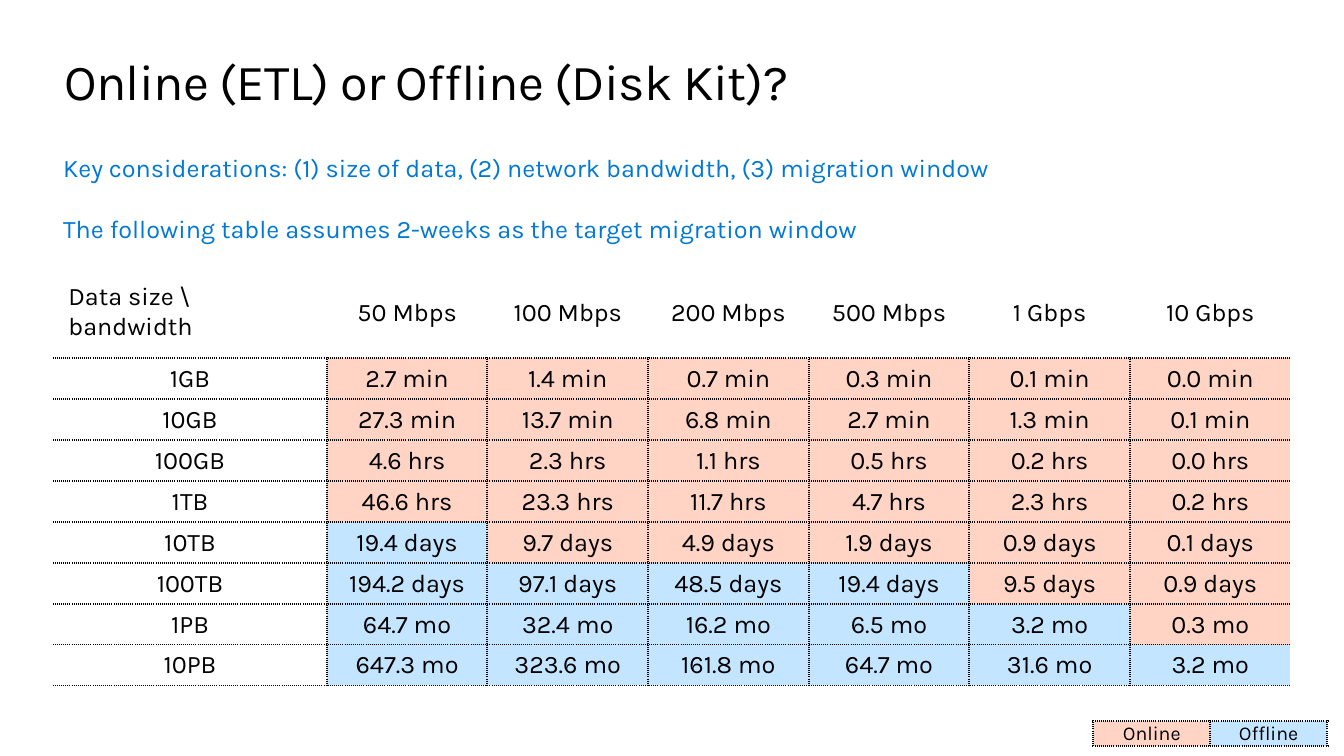
from dataclasses import dataclass
from lxml import etree
from pptx import Presentation
from pptx.dml.color import RGBColor as Rgb
from pptx.enum.text import MSO_ANCHOR as Anchor, PP_ALIGN as Align
from pptx.oxml.ns import qn
from pptx.util import Pt


@dataclass(frozen=True)
class Theme:
    font: str = "Karla"
    ink: str = "000000"
    paper: str = "FFFFFF"
    accent: str = "0078D4"
    online: str = "FFD4C5"
    offline: str = "C3E5FF"
    title: int = 36
    body: int = 18
    small: int = 14


THEME = Theme()
DOTS = (THEME.ink, 1.5, "sysDot")
PLAIN = (THEME.paper, 1, "solid")
SPEEDS = ["50 Mbps", "100 Mbps", "200 Mbps", "500 Mbps", "1 Gbps", "10 Gbps"]
TIMES = [
    ("1GB", "min", "2.7 1.4 0.7 0.3 0.1 0.0"),
    ("10GB", "min", "27.3 13.7 6.8 2.7 1.3 0.1"),
    ("100GB", "hrs", "4.6 2.3 1.1 0.5 0.2 0.0"),
    ("1TB", "hrs", "46.6 23.3 11.7 4.7 2.3 0.2"),
    ("10TB", "days", "19.4 9.7 4.9 1.9 0.9 0.1"),
    ("100TB", "days", "194.2 97.1 48.5 19.4 9.5 0.9"),
    ("1PB", "mo", "64.7 32.4 16.2 6.5 3.2 0.3"),
    ("10PB", "mo", "647.3 323.6 161.8 64.7 31.6 3.2"),
]
DAYS = {"min": 1 / 1440, "hrs": 1 / 24, "days": 1, "mo": 30}
WINDOW = 14


def write(frame, *lines, size=THEME.body, color=THEME.ink, align=Align.LEFT,
          gap=0, track=0):
    """Fill a text frame, one paragraph a line, with gap points between."""
    frame.word_wrap = True
    for i, line in enumerate(lines):
        para = frame.add_paragraph() if i else frame.paragraphs[0]
        para.alignment = align
        para.space_before = Pt(gap if i else 0)
        run = para.add_run()
        run.text = line
        run.font.name = THEME.font
        run.font.size = Pt(size)
        run.font.color.rgb = Rgb.from_string(color)
        if track:
            run.font._element.set("spc", str(int(track * 100)))


def label(slide, box, *lines, inset=(7.2, 3.6), **style):
    frame = slide.shapes.add_textbox(*map(Pt, box)).text_frame
    frame.margin_left = frame.margin_right = Pt(inset[0])
    frame.margin_top = frame.margin_bottom = Pt(inset[1])
    write(frame, *lines, **style)


def edge(cell, sides):
    """Draw cell borders from a dict of L, R, T, B to (colour, width, dash)."""
    props = cell._tc.get_or_add_tcPr()
    for side in "LRTB":
        color, width, dash = sides[side]
        line = etree.SubElement(props, qn(f"a:ln{side}"), w=str(Pt(width)))
        fill = etree.SubElement(line, qn("a:solidFill"))
        etree.SubElement(fill, qn("a:srgbClr"), val=color)
        etree.SubElement(line, qn("a:prstDash"), val=dash)


def fill_cell(cell, text, fill=None, sides="LRTB", pad=None, **style):
    """Format one cell; sides lists the dotted borders."""
    edge(cell, {s: DOTS if s in sides else PLAIN for s in "LRTB"})
    if fill:
        cell.fill.solid()
        cell.fill.fore_color.rgb = Rgb.from_string(fill)
    else:
        cell.fill.background()
    cell.margin_left = cell.margin_right = cell.margin_top = Pt(pad or 0.72)
    cell.margin_bottom = Pt(pad or 0)
    cell.vertical_anchor = Anchor.TOP if pad else Anchor.MIDDLE
    write(cell.text_frame, text, **{"align": Align.CENTER, **style})


def grid(slide, box, rows, widths):
    """Add a bare table with equal rows."""
    table = slide.shapes.add_table(rows, len(widths), *map(Pt, box)).table
    table.first_row = table.horz_banding = False
    for col, width in zip(table.columns, widths):
        col.width = Pt(width)
    for row in table.rows:
        row.height = Pt(box[3] / rows)
    return table


def time_table(slide, box):
    first = 195.4
    step = (box[2] - first) / len(SPEEDS)
    table = grid(slide, box, len(TIMES) + 1, [first] + [step] * len(SPEEDS))
    fill_cell(table.cell(0, 0), "Data size \\ bandwidth", sides="B",
              pad=10.8, align=Align.LEFT)
    for c, speed in enumerate(SPEEDS, 1):
        fill_cell(table.cell(0, c), speed, sides="B")
    for r, (size, unit, values) in enumerate(TIMES, 1):
        fill_cell(table.cell(r, 0), size, sides="RTB")
        for c, value in enumerate(values.split(), 1):
            late = float(value) * DAYS[unit] > WINDOW
            fill_cell(table.cell(r, c), f"{value} {unit}",
                      THEME.offline if late else THEME.online,
                      sides="LTB" if c == len(SPEEDS) else "LRTB")


def legend(slide, box):
    keys = [("Online", THEME.online), ("Offline", THEME.offline)]
    table = grid(slide, box, 1, [box[2] / len(keys)] * len(keys))
    for c, (name, color) in enumerate(keys):
        fill_cell(table.cell(0, c), name, color, size=THEME.small)


def main():
    deck = Presentation()
    deck.slide_width, deck.slide_height = Pt(960), Pt(540)
    slide = deck.slides.add_slide(deck.slide_layouts[6])
    label(slide, (46, 36, 868, 44), "Online (ETL) or Offline (Disk Kit)?",
          inset=(0, 0), size=THEME.title, track=-0.5)
    time_table(slide, (38, 191, 884, 263.25))
    label(slide, (38, 105, 704, 73),
          "Key considerations: (1) size of data, (2) network bandwidth, "
          "(3) migration window",
          "The following table assumes 2-weeks as the target migration window",
          color=THEME.accent, gap=22)
    legend(slide, (781, 515, 167, 18))
    deck.save("out.pptx")


if __name__ == "__main__":
    main()
